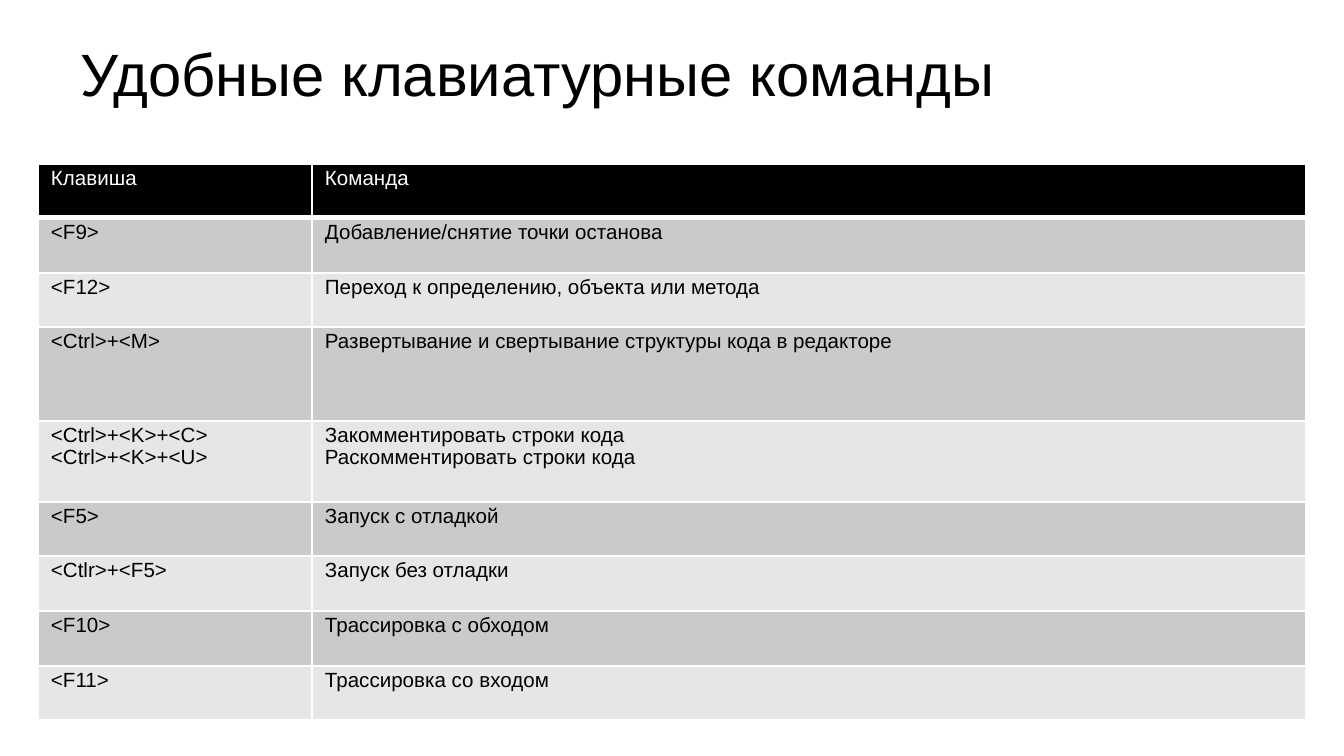
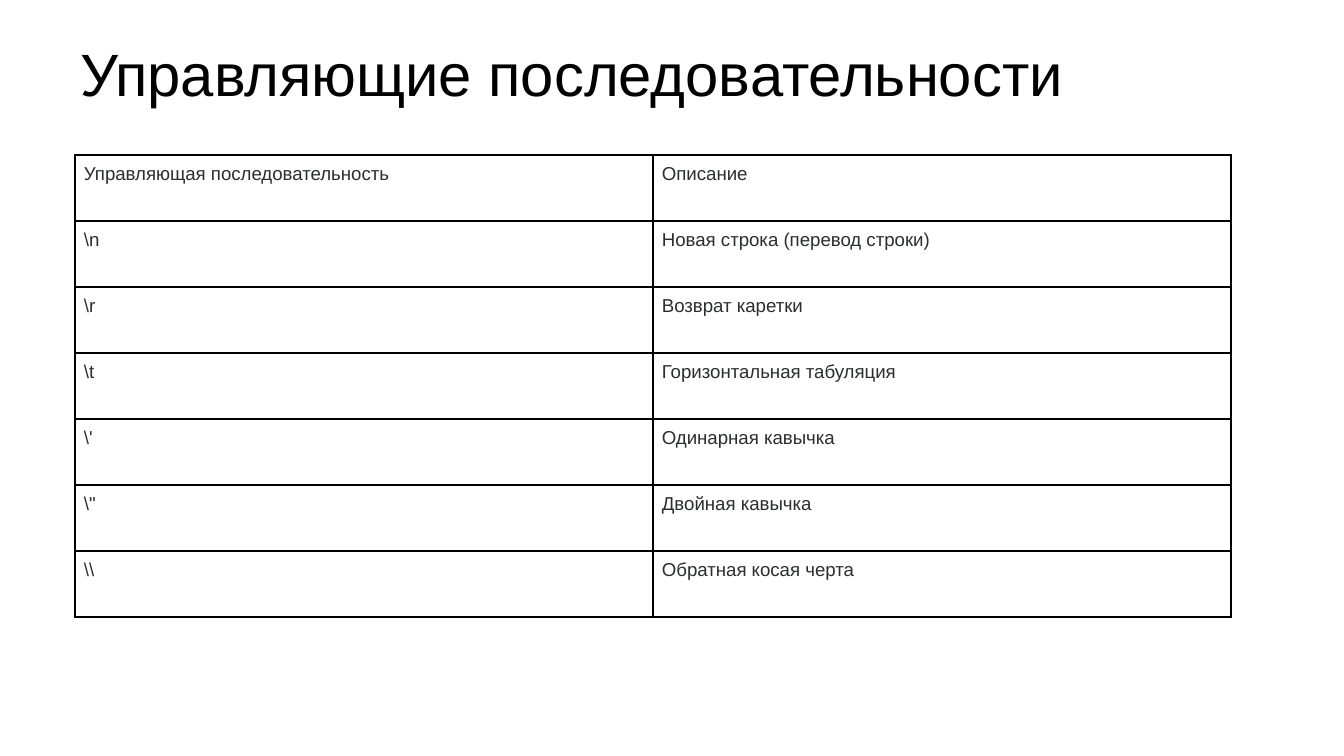
"""Builds two slides with reference tables on keyboard commands and escape sequences."""
from lxml.etree import SubElement
from pptx import Presentation
from pptx.dml.color import RGBColor
from pptx.enum.text import MSO_ANCHOR as Anchor, MSO_AUTO_SIZE as AutoSize, PP_ALIGN as Align
from pptx.oxml.ns import qn
from pptx.util import Emu, Pt

FONT = "Arial"
COLORS = {
    "black": "000000",
    "white": "FFFFFF",
    "dark_band": "CACACA",
    "light_band": "E6E6E6",
    "ink": "2C2D30",
}

KEY_COMMANDS = [
    ("Клавиша", "Команда"),
    ("<F9>", "Добавление/снятие точки останова"),
    ("<F12>", "Переход к определению, объекта или метода"),
    ("<Ctrl>+<M>", "Развертывание и свертывание структуры кода в редакторе"),
    ("<Ctrl>+<K>+<C>\n<Ctrl>+<K>+<U>", "Закомментировать строки кода\nРаскомментировать строки кода"),
    ("<F5>", "Запуск с отладкой"),
    ("<Ctlr>+<F5>", "Запуск без отладки"),
    ("<F10>", "Трассировка с обходом"),
    ("<F11>", "Трассировка со входом"),
]
ESCAPE_SEQUENCES = [
    ("Управляющая последовательность", "Описание"),
    (r"\n", "Новая строка (перевод строки)"),
    (r"\r", "Возврат каретки"),
    (r"\t", "Горизонтальная табуляция"),
    (r"\'", "Одинарная кавычка"),
    (r"\"", "Двойная кавычка"),
    (r"\\", "Обратная косая черта"),
]
SLIDES = [
    {
        "title": "Удобные клавиатурные команды",
        "rows": KEY_COMMANDS,
        "origin": (38, 164),
        "widths": (274, 994),
        "heights": (54, 55, 54, 94, 81, 54, 55, 55, 54),
        "insets": (13, 5),
        "size": 11,
        "spacing": 0.93,
        "border": "white",
        "header": ("black", "white", 3),
        "bands": ("dark_band", "light_band"),
        "text": "black",
    },
    {
        "title": "Управляющие последовательности",
        "rows": ESCAPE_SEQUENCES,
        "origin": (75, 155),
        "widths": (578, 578),
        "heights": (66,) * len(ESCAPE_SEQUENCES),
        "insets": (9, 9),
        "size": 10,
        "spacing": 1.0,
        "border": "black",
        "header": (None, "ink", 1),
        "bands": (None, None),
        "text": "ink",
    },
]


def px(length):
    return Emu(round(length * 914400 / 134.4))


def rgb(name):
    return RGBColor.from_string(COLORS[name])


def style_paragraph(paragraph, size, color, spacing=1.0):
    paragraph.alignment = Align.LEFT
    paragraph.line_spacing = spacing
    font = paragraph.font
    font.name, font.size, font.bold = FONT, Pt(size), False
    font.color.rgb = rgb(color)


def set_borders(cell, color, widths):
    properties = cell._tc.get_or_add_tcPr()
    for index, (side, width) in enumerate(zip("LRTB", widths)):
        line = SubElement(properties, qn(f"a:ln{side}"), w=str(Pt(width)))
        SubElement(SubElement(line, qn("a:solidFill")), qn("a:srgbClr"), val=COLORS[color])
        properties.insert(index, line)


def add_title(slide, text):
    title = slide.shapes.title
    title.left, title.top, title.width, title.height = map(px, (67, 17, 1210, 139))
    frame = title.text_frame
    frame.text = text
    frame.auto_size, frame.word_wrap = AutoSize.NONE, True
    frame.vertical_anchor = Anchor.TOP
    frame.margin_left = frame.margin_right = frame.margin_bottom = px(13)
    frame.margin_top = px(20)
    style_paragraph(frame.paragraphs[0], 32, "black")


def fill_cell(cell, text, row, content):
    header_fill, header_text, header_rule = content["header"]
    fill = content["bands"][(row - 1) % 2] if row else header_fill
    color = content["text"] if row else header_text
    top = header_rule if row == 1 else 1
    bottom = 1 if row else header_rule
    cell.text = text
    cell.vertical_anchor = Anchor.TOP
    cell.margin_left = cell.margin_right = px(content["insets"][0])
    cell.margin_top = cell.margin_bottom = px(content["insets"][1])
    for paragraph in cell.text_frame.paragraphs:
        style_paragraph(paragraph, content["size"], color, content["spacing"])
    if fill:
        cell.fill.solid()
        cell.fill.fore_color.rgb = rgb(fill)
    else:
        cell.fill.background()
    set_borders(cell, content["border"], (1, 1, top, bottom))


def add_table(slide, content):
    rows, widths, heights = content["rows"], content["widths"], content["heights"]
    bounds = (*content["origin"], sum(widths), sum(heights))
    table = slide.shapes.add_table(len(rows), len(widths), *map(px, bounds)).table
    table.first_row = table.horz_banding = False
    for column, width in zip(table.columns, widths):
        column.width = px(width)
    for index, (height, texts) in enumerate(zip(heights, rows)):
        table.rows[index].height = px(height)
        for cell, text in zip(table.rows[index].cells, texts):
            fill_cell(cell, text, index, content)


def main():
    presentation = Presentation()
    presentation.slide_width, presentation.slide_height = px(1344), px(756)
    for content in SLIDES:
        slide = presentation.slides.add_slide(presentation.slide_layouts[5])
        add_title(slide, content["title"])
        add_table(slide, content)
    presentation.save("out.pptx")


if __name__ == "__main__":
    main()
